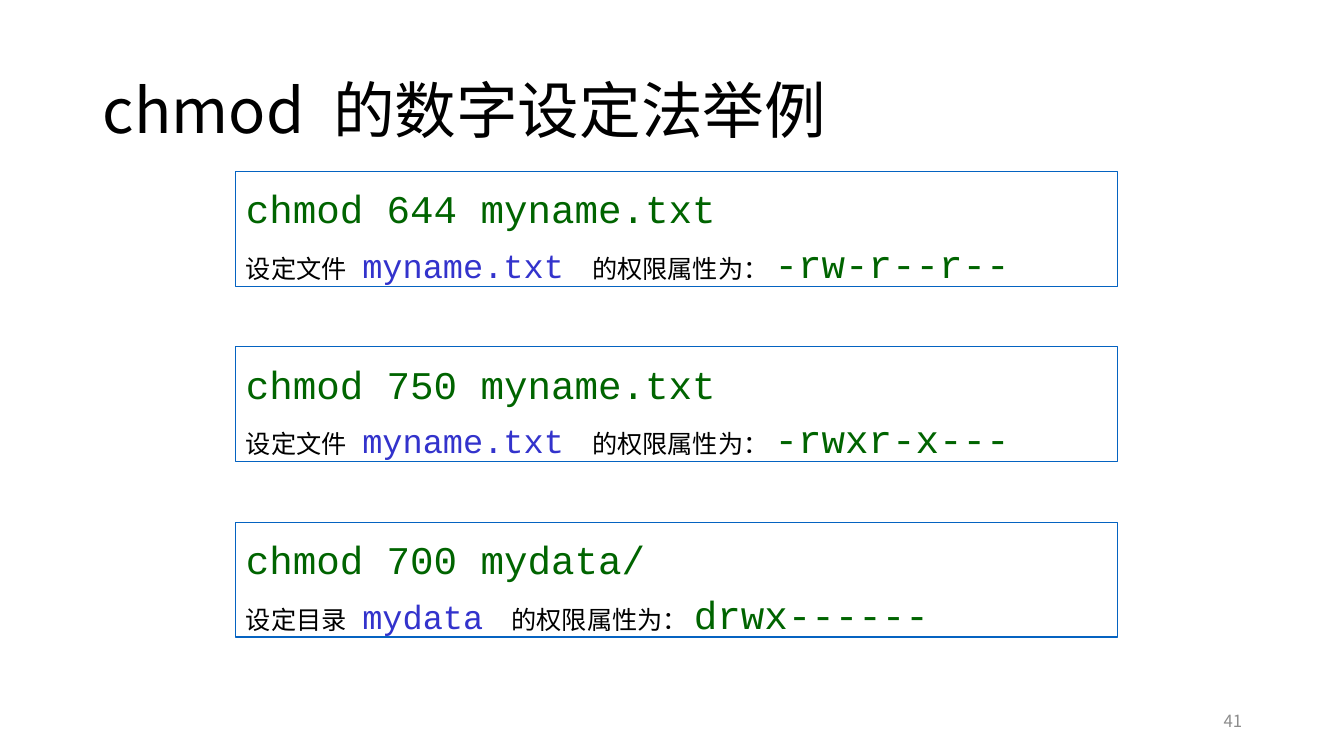
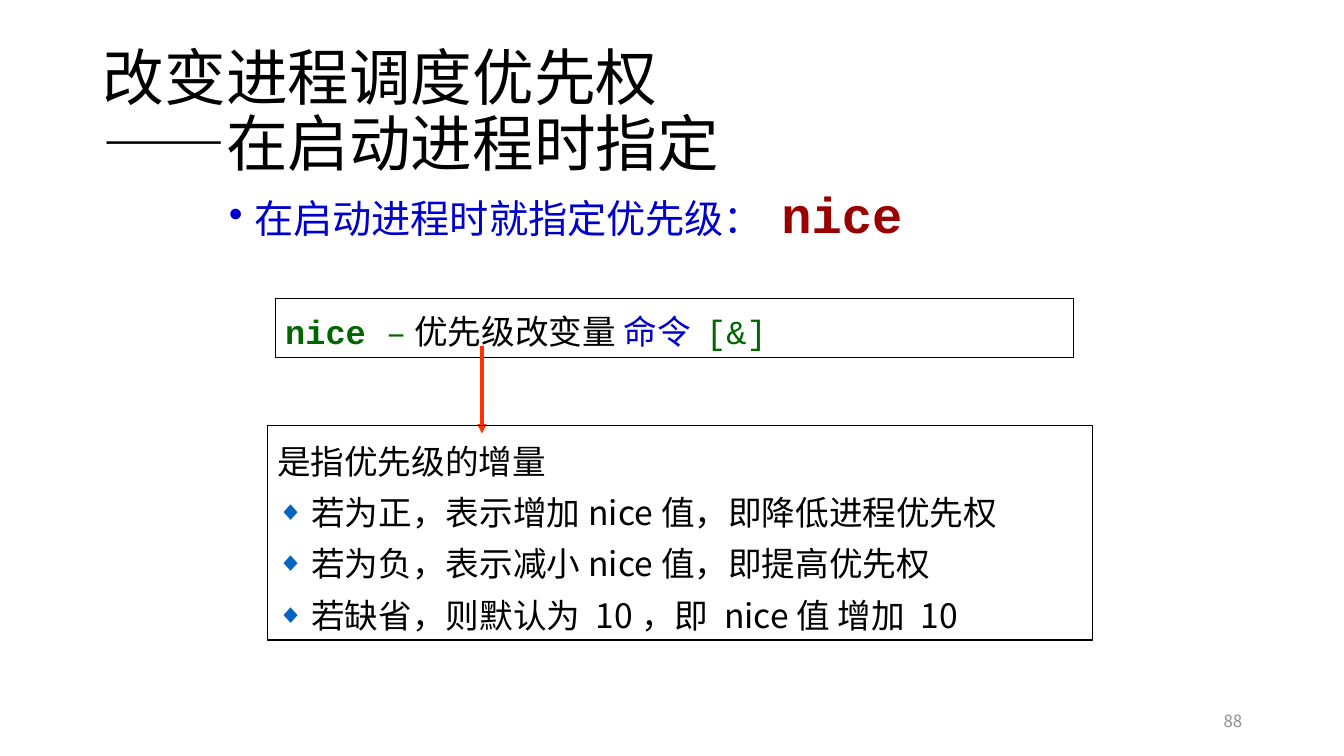
from lxml import etree
from pptx import Presentation
from pptx.dml.color import RGBColor
from pptx.enum import shapes, text
from pptx.oxml import ns
from pptx.util import Emu, Pt

PX = 9144
SANS, MONO, ARIAL = "Noto Sans CJK SC", "Courier New", "Arial"
BLACK, GRAY, BLUE, RED = "000000", "8C8C8C", "0563C1", "FF3300"
CODE, COMMAND, FILE, ACCENT, MAROON = "006400", "006600", "3333CC", "0000CC", "990000"

TITLE_AT = (92, 40, 1150, 145)
NUMBER_AT = (942, 695, 300, 40)

CHMOD_TITLE = "chmod 的数字设定法举例"
CHMOD_FIRST, CHMOD_GAP = (234, 170, 874, 114), 60
CHMOD_EXAMPLES = [
    ("chmod 644 myname.txt", "设定文件", "myname.txt", "-rw-r--r--"),
    ("chmod 750 myname.txt", "设定文件", "myname.txt", "-rwxr-x---"),
    ("chmod 700 mydata/", "设定目录", "mydata", "drwx------"),
]

NICE_TITLE = "改变进程调度优先权\v——在启动进程时指定"
NICE_BODY_AT = (217, 183, 900, 74)
NICE_BODY = [
    ("在启动进程时就指定优先级： ", 28, ARIAL, ACCENT),
    ("nice", 36, MONO, MAROON, True),
]
SYNTAX_AT = (273, 296, 792, 59)
SYNTAX = [
    ("nice", 24, MONO, COMMAND, True),
    (" –", 24, MONO, COMMAND),
    ("优先级改变量 ", 24, MONO, BLACK),
    ("命令 ", 24, MONO, ACCENT),
    ("[&]", 24, MONO, COMMAND),
]
ARROW = (478, 343, 478, 430)
MEANING_AT = (265, 422, 819, 213)
MEANING_HEAD = "是指优先级的增量"
MEANING_POINTS = [
    "若为正，表示增加nice值，即降低进程优先权",
    "若为负，表示减小nice值，即提高优先权",
    "若缺省，则默认为 10，即 nice值 增加 10",
]


def px(*values):
    return [Emu(v * PX) for v in values]


def rgb(value):
    return RGBColor.from_string(value)


def child(parent, tag, **attrs):
    return etree.SubElement(parent, ns.qn(tag), attrs)


def style_run(r, size, font, color, bold=False):
    r.font.size, r.font.name, r.font.bold = Pt(size), font, bold
    r.font.color.rgb = rgb(color)
    child(r._r.get_or_add_rPr(), "a:ea", typeface=SANS)


def add_bullet(p, char, indent, color=None, percent=None):
    pPr = p._p.get_or_add_pPr()
    pPr.set("marL", str(indent * PX))
    pPr.set("indent", str(-indent * PX))
    if color:
        child(child(pPr, "a:buClr"), "a:srgbClr", val=color)
    if percent:
        child(pPr, "a:buSzPct", val=str(percent * 1000))
    child(pPr, "a:buFont", typeface=ARIAL)
    child(pPr, "a:buChar", char=char)


def write(tf, paragraphs, spacing=1.0, before=0, align=text.PP_ALIGN.LEFT,
          anchor=text.MSO_ANCHOR.TOP):
    tf.word_wrap = True
    tf.auto_size = text.MSO_AUTO_SIZE.NONE
    tf.vertical_anchor = anchor
    for i, runs in enumerate(paragraphs):
        p = tf.add_paragraph() if i else tf.paragraphs[0]
        p.alignment, p.line_spacing = align, spacing
        p.space_before = Pt(before if i else 0)
        for words, *style in runs:
            r = p.add_run()
            r.text = words
            style_run(r, *style)


def place(sp, box):
    sp.left, sp.top, sp.width, sp.height = px(*box)


def add_slide(prs, layout, title, number):
    s = prs.slides.add_slide(prs.slide_layouts[layout])
    place(s.shapes.title, TITLE_AT)
    tf = s.shapes.title.text_frame
    tf.text = title
    tf.word_wrap = True
    tf.auto_size = text.MSO_AUTO_SIZE.NONE
    tf.vertical_anchor = text.MSO_ANCHOR.MIDDLE
    p = tf.paragraphs[0]
    p.alignment, p.line_spacing = text.PP_ALIGN.LEFT, 0.9
    for r in p.runs:
        style_run(r, 44, SANS, BLACK)
    sp = s.shapes.add_textbox(*px(*NUMBER_AT))
    write(sp.text_frame, [[(number, 12, SANS, GRAY)]],
          align=text.PP_ALIGN.RIGHT, anchor=text.MSO_ANCHOR.MIDDLE)
    return s


def add_box(s, box, line, paragraphs, top_margin=5, **layout):
    sp = s.shapes.add_shape(shapes.MSO_SHAPE.RECTANGLE, *px(*box))
    sp.shadow.inherit = False
    sp.fill.background()
    sp.line.color.rgb = rgb(line)
    sp.line.width = Pt(0.75)
    sp.text_frame.margin_top = Emu(top_margin * PX)
    write(sp.text_frame, paragraphs, **layout)
    return sp


def add_arrow(s, ends, color):
    line = s.shapes.add_connector(shapes.MSO_CONNECTOR.STRAIGHT, *px(*ends))
    line.line.color.rgb = rgb(color)
    line.line.width = Pt(2.25)
    child(line.line._get_or_add_ln(), "a:tailEnd", type="triangle")
    child(line._element.spPr, "a:effectLst")


def build_chmod(prs):
    s = add_slide(prs, 5, CHMOD_TITLE, "41")
    left, top, width, height = CHMOD_FIRST
    for i, (command, action, target, mode) in enumerate(CHMOD_EXAMPLES):
        effect = [
            (action, 18, MONO, BLACK),
            (" ", 24, SANS, FILE),
            (target + " ", 24, MONO, FILE),
            ("的权限属性为：", 18, MONO, BLACK),
            (mode, 28, MONO, CODE),
        ]
        box = (left, top + i * (height + CHMOD_GAP), width, height)
        add_box(s, box, BLUE, [[(command, 28, MONO, CODE)], effect],
                top_margin=13, before=5.6)


def build_nice(prs):
    s = add_slide(prs, 1, NICE_TITLE, "88")
    body = s.placeholders[1]
    place(body, NICE_BODY_AT)
    add_bullet(body.text_frame.paragraphs[0], "•", 25)
    write(body.text_frame, [NICE_BODY], spacing=0.9)
    add_box(s, SYNTAX_AT, BLACK, [SYNTAX], spacing=1.2)
    add_arrow(s, ARROW, RED)
    lines = [[(words, 24, SANS, BLACK)] for words in [MEANING_HEAD, *MEANING_POINTS]]
    sp = add_box(s, MEANING_AT, BLACK, lines, top_margin=9, spacing=1.15, before=3.6)
    for p in sp.text_frame.paragraphs[1:]:
        add_bullet(p, "◆", 34, BLUE, 80)


def main():
    prs = Presentation()
    prs.slide_width, prs.slide_height = px(1333, 750)
    build_chmod(prs)
    build_nice(prs)
    prs.save("out.pptx")


if __name__ == "__main__":
    main()
